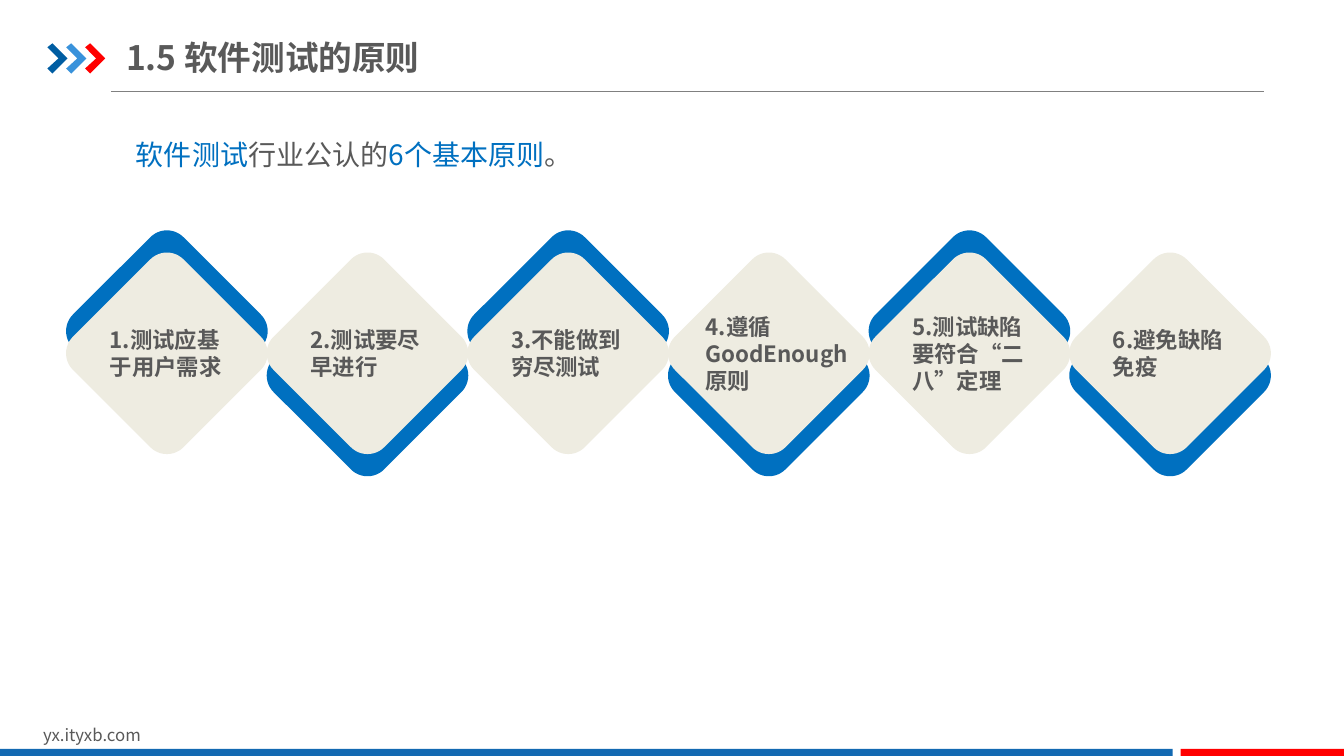
from lxml import etree
from pptx import Presentation
from pptx.dml.color import RGBColor
from pptx.enum.shapes import MSO_CONNECTOR, MSO_SHAPE
from pptx.enum.text import MSO_ANCHOR, MSO_AUTO_SIZE, PP_ALIGN
from pptx.oxml.ns import qn
from pptx.util import Inches, Pt

LINE, RECT, ROUND = MSO_CONNECTOR.STRAIGHT, MSO_SHAPE.RECTANGLE, MSO_SHAPE.ROUNDED_RECTANGLE
MIDDLE, TOP = MSO_ANCHOR.MIDDLE, MSO_ANCHOR.TOP
LEFT, JUSTIFY = PP_ALIGN.LEFT, PP_ALIGN.JUSTIFY

BLUE = RGBColor(0x00, 0x70, 0xC0)
CREAM = RGBColor(0xEE, 0xEC, 0xE1)
TEXT = RGBColor(0x59, 0x59, 0x59)
GRAY = RGBColor(0x80, 0x80, 0x80)
NAVY = RGBColor(0x00, 0x5D, 0xA2)
SKY = RGBColor(0x39, 0x92, 0xDB)
RED = RGBColor(0xFF, 0x00, 0x00)
BAR = RGBColor(0x13, 0x69, 0xB2)
FONT = "Noto Sans CJK SC"

# Content
TITLE = "1.5 软件测试的原则"
INTRO = [("软件测试", BLUE), ("行业公认的", TEXT), ("6个基本原则", BLUE), ("。", TEXT)]
SITE = "yx.ityxb.com"
# Each rule: text, indent from its diamond, text width
RULES = [
    ("1.测试应基于用户需求", 0.11, 1.32),
    ("2.测试要尽早进行", 0.11, 1.32),
    ("3.不能做到穷尽测试", 0.11, 1.32),
    ("4.遵循GoodEnough原则", 0.05, 1.7),
    ("5.测试缺陷要符合“二八”定理", 0.11, 1.32),
    ("6.避免缺陷免疫", 0.11, 1.32),
]

# Grid
WIDE, HIGH = 13.33, 7.5
START, STEP, SIDE = 0.88, 1.99, 1.55
FRONT, SHIFT = 2.73, 0.22

deck = Presentation()
deck.slide_width, deck.slide_height = Inches(WIDE), Inches(HIGH)
slide = deck.slides.add_slide(deck.slide_layouts[5])
shapes = slide.shapes


def paint(shape, color):
    shape.shadow.inherit = False
    shape.fill.solid()
    shape.fill.fore_color.rgb = color
    shape.line.fill.background()


def block(kind, x, y, w, h, color):
    shape = shapes.add_shape(kind, Inches(x), Inches(y), Inches(w), Inches(h))
    paint(shape, color)
    return shape


def style(run, size, color, bold=False):
    font = run.font
    font.size, font.bold, font.name = Pt(size), bold, FONT
    font.color.rgb = color
    etree.SubElement(run._r.get_or_add_rPr(), qn("a:ea"), typeface=FONT)


def write(box, parts, size, bold=False, anchor=MIDDLE, align=LEFT):
    frame = box.text_frame
    frame.word_wrap, frame.auto_size = True, MSO_AUTO_SIZE.NONE
    frame.vertical_anchor = anchor
    para = frame.paragraphs[0]
    para.alignment = align
    for words, color in parts:
        run = para.add_run()
        run.text = words
        style(run, size, color, bold)
    return frame


def label(x, y, w, h, *args, **kwargs):
    box = shapes.add_textbox(Inches(x), Inches(y), Inches(w), Inches(h))
    return write(box, *args, **kwargs)


# Title and its rule
title = shapes.title
title.left, title.top = Inches(1.25), Inches(0.29)
title.width, title.height = Inches(5.28), Inches(0.55)
frame = write(title, [(TITLE, TEXT)], 24, bold=True)
frame.margin_left = frame.margin_right = 0
frame.margin_top = frame.margin_bottom = Inches(0.07)

rule = shapes.add_connector(LINE, Inches(1.1), Inches(0.91), Inches(12.54), Inches(0.91))
rule.line.color.rgb, rule.line.width = GRAY, Pt(0.75)
etree.SubElement(rule._element.spPr, qn("a:effectLst"))

# Chevrons
CHEVRON = [(0, 0.04), (0.05, 0), (0.2, 0.15), (0.05, 0.3), (0, 0.25), (0.11, 0.15)]
for i, color in enumerate([NAVY, SKY, RED]):
    dots = [(Inches(0.47 + 0.187 * i + x), Inches(0.43 + y)) for x, y in CHEVRON]
    pen = shapes.build_freeform(*dots[0])
    pen.add_line_segments(dots[1:], close=True)
    paint(pen.convert_to_shape(), color)

# Intro line
frame = label(1.25, 1.15, 10.99, 0.73, INTRO, 20, anchor=TOP, align=JUSTIFY)
frame.paragraphs[0].line_spacing = 1.5

# Diamonds: the blue back peeks out above, then below
for i, (words, indent, width) in enumerate(RULES):
    x = START + STEP * i
    back = FRONT + (SHIFT if i % 2 else -SHIFT)
    for y, color in [(back, BLUE), (FRONT, CREAM)]:
        tile = block(ROUND, x, y, SIDE, SIDE, color)
        tile.adjustments[0] = 0.15
        tile.rotation = 45
for i, (words, indent, width) in enumerate(RULES):
    label(START + STEP * i + indent, 3.36, width, 0.29, [(words, TEXT)], 16, bold=True)

# Footer
label(0.33, 7.14, 3.18, 0.3, [(SITE, TEXT)], 12, anchor=TOP)
block(RECT, 0, 7.43, 11.63, 0.09, BAR)
block(RECT, 11.71, 7.43, 1.63, 0.09, RED)

deck.save("out.pptx")
